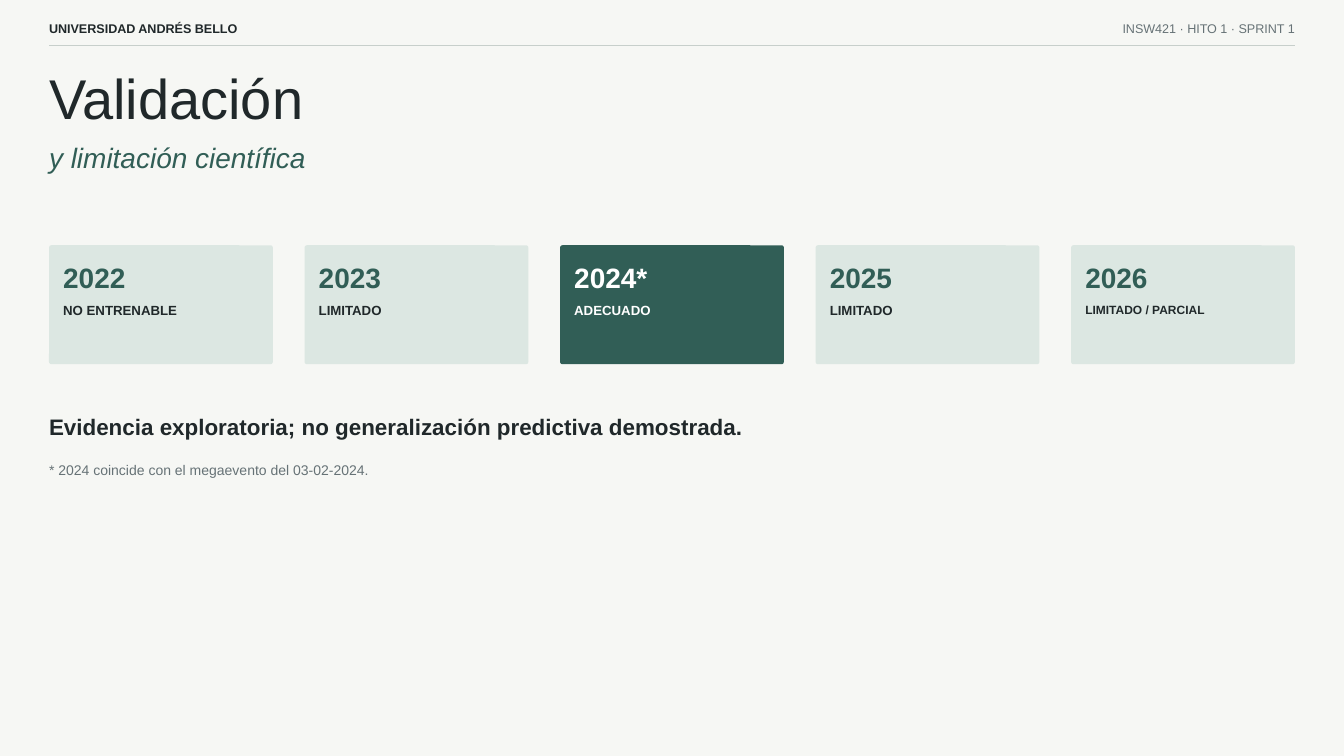
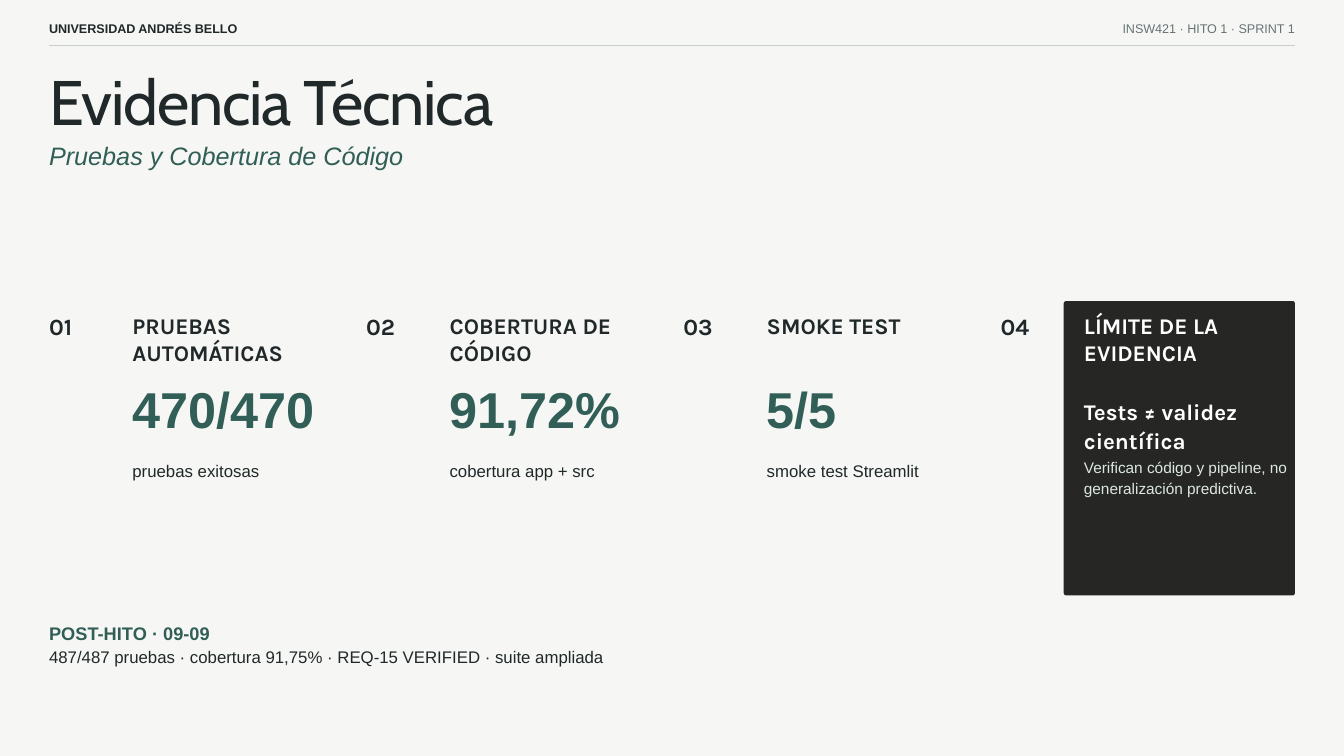
from pptx import Presentation
from pptx.dml.color import RGBColor
from pptx.enum.shapes import MSO_CONNECTOR, MSO_SHAPE
from pptx.enum.text import MSO_ANCHOR, MSO_AUTO_SIZE, PP_ALIGN
from pptx.oxml.ns import qn
from pptx.util import Inches, Pt
from lxml import etree

LEFT, RIGHT = PP_ALIGN.LEFT, PP_ALIGN.RIGHT
TOP = MSO_ANCHOR.TOP
NO_AUTOFIT = MSO_AUTO_SIZE.NONE
ROUNDED = MSO_SHAPE.ROUNDED_RECTANGLE
STRAIGHT = MSO_CONNECTOR.STRAIGHT
TITLE_ONLY = 5

COLORS = {
    "background": "F6F7F4",
    "ink": "20282A",
    "green": "315E56",
    "mint": "DCE7E2",
    "gray": "667276",
    "rule": "C7CFCB",
    "dark": "262624",
    "white": "FFFFFF",
}

# Shared page geometry, in inches
MARGIN = 0.73
CONTENT_WIDTH = 18.54
CORNER_RADIUS = 0.035


def color(name):
    return RGBColor.from_string(COLORS[name])


def write(shape, text, size, line, ink="ink", font="Arial", bold=False,
          italic=False, align=LEFT, tracking=None):
    """Fill a shape with one paragraph that has an exact line height."""
    frame = shape.text_frame
    frame.word_wrap = True
    frame.auto_size = NO_AUTOFIT
    frame.vertical_anchor = TOP
    frame.margin_left = frame.margin_right = 0
    frame.margin_top = frame.margin_bottom = 0
    paragraph = frame.paragraphs[0]
    paragraph.alignment = align
    paragraph.line_spacing = Pt(line)
    run = paragraph.add_run()
    run.text = text
    run.font.name = font
    run.font.size = Pt(size)
    run.font.bold = bold
    run.font.italic = italic
    run.font.color.rgb = color(ink)
    if tracking is not None:
        run._r.get_or_add_rPr().set("spc", str(round(tracking * 100)))


def add_text(slide, left, top, width, height, text, size, line, **style):
    box = slide.shapes.add_textbox(
        Inches(left), Inches(top), Inches(width), Inches(height))
    write(box, text, size, line, **style)


def add_card(slide, left, top, width, height, fill):
    card = slide.shapes.add_shape(
        ROUNDED, Inches(left), Inches(top), Inches(width), Inches(height))
    card.shadow.inherit = False
    card.adjustments[0] = CORNER_RADIUS / min(width, height)
    card.fill.solid()
    card.fill.fore_color.rgb = color(fill)
    card.line.fill.background()


def add_header(slide):
    add_text(slide, MARGIN, 0.27, 5.21, 0.26, "UNIVERSIDAD ANDRÉS BELLO",
             13.5, 18.9, bold=True)
    add_text(slide, MARGIN + CONTENT_WIDTH - 5.21, 0.27, 5.21, 0.26,
             "INSW421 · HITO 1 · SPRINT 1", 13.5, 18.9, ink="gray", align=RIGHT)
    rule = slide.shapes.add_connector(
        STRAIGHT, Inches(MARGIN), Inches(0.68),
        Inches(MARGIN + CONTENT_WIDTH), Inches(0.68))
    rule.line.color.rgb = color("rule")
    rule.line.width = Pt(1.15)
    etree.SubElement(rule._element.spPr, qn("a:effectLst"))


def add_page(presentation):
    slide = presentation.slides.add_slide(
        presentation.slide_layouts[TITLE_ONLY])
    slide.background.fill.solid()
    slide.background.fill.fore_color.rgb = color("background")
    add_header(slide)
    return slide


def add_title(slide, top, height, text, size, line, **style):
    title = slide.shapes.title
    title.left, title.top = Inches(MARGIN), Inches(top)
    title.width, title.height = Inches(CONTENT_WIDTH), Inches(height)
    write(title, text, size, line, **style)


def add_wide_text(slide, top, height, text, size, line, **style):
    add_text(slide, MARGIN, top, CONTENT_WIDTH, height, text, size, line,
             **style)


def add_year(slide, left, width, year, status, size, highlighted):
    """Card with a year and how trainable it is."""
    add_card(slide, left, 3.65, width, 1.77,
             "green" if highlighted else "mint")
    inner_left, inner_width = left + 0.21, width - 0.41
    add_text(slide, inner_left, 3.79, inner_width, 0.58, year, 30, 42,
             ink="white" if highlighted else "green", bold=True)
    add_text(slide, inner_left, 4.46, inner_width, 0.27, status, size,
             size * 1.4, ink="white" if highlighted else "ink", bold=True)


def add_heading(slide, left, number, heading, ink="ink"):
    """Column number and heading; returns the left edge of the column text."""
    text_left = left + 1.24
    add_text(slide, left, 4.65, 0.68, 0.41, number, 25, 30, font="Karla",
             bold=True)
    add_text(slide, text_left, 4.65, 3.15, 0.79, heading, 24, 28.8,
             ink=ink, font="Karla", bold=True)
    return text_left


def add_metric(slide, left, number, heading, value, caption):
    text_left = add_heading(slide, left, number, heading)
    add_text(slide, text_left, 5.48, 3.15, 1.04, value, 54, 75.6,
             ink="green", bold=True)
    add_text(slide, text_left, 6.81, 3.15, 0.36, caption, 18, 25.2)


def add_limit(slide, left):
    """Dark closing column with the limit of the evidence."""
    add_card(slide, 15.83, 4.48, 3.44, 4.38, "dark")
    text_left = add_heading(slide, left, "04", "LÍMITE DE LA EVIDENCIA",
                            ink="white")
    add_text(slide, text_left, 5.89, 3.15, 0.84, "Tests ≠ validez científica",
             24, 31.2, ink="white", font="Karla", bold=True)
    add_text(slide, text_left, 6.77, 3.15, 0.64,
             "Verifican código y pipeline, no generalización predictiva.",
             16.5, 23.1, ink="mint")


def build_validation(presentation):
    slide = add_page(presentation)
    add_title(slide, 0.78, 1.16, "Validación", 60, 84)
    add_wide_text(slide, 2, 0.58, "y limitación científica", 30, 42,
                  ink="green", italic=True)

    # Year cards, spread evenly over the content width
    years = [
        ("2022", "NO ENTRENABLE", 14.2),
        ("2023", "LIMITADO", 14.2),
        ("2024*", "ADECUADO", 14.2),
        ("2025", "LIMITADO", 14.2),
        ("2026", "LIMITADO / PARCIAL", 12.8),
    ]
    card_width = 3.33
    step = (CONTENT_WIDTH - card_width) / (len(years) - 1)
    for index, (year, status, size) in enumerate(years):
        add_year(slide, MARGIN + index * step, card_width, year, status, size,
                 highlighted=status == "ADECUADO")

    # Conclusion and footnote
    add_wide_text(
        slide, 6.08, 0.45,
        "Evidencia exploratoria; no generalización predictiva demostrada.",
        24, 33.6, bold=True)
    add_wide_text(slide, 6.82, 0.3,
                  "* 2024 coincide con el megaevento del 03-02-2024.",
                  15, 21, ink="gray")


def build_evidence(presentation):
    slide = add_page(presentation)
    add_title(slide, 0.93, 1.12, "Evidencia Técnica", 67.4, 80.8,
              font="Cabin", tracking=-1.3)
    add_wide_text(slide, 2.01, 0.52, "Pruebas y Cobertura de Código", 27, 37.8,
                  ink="green", italic=True)

    # Numbered columns
    metrics = [
        ("PRUEBAS AUTOMÁTICAS", "470/470", "pruebas exitosas"),
        ("COBERTURA DE CÓDIGO", "91,72%", "cobertura app + src"),
        ("SMOKE TEST", "5/5", "smoke test Streamlit"),
    ]
    step = 4.72
    for index, metric in enumerate(metrics):
        add_metric(slide, MARGIN + index * step, f"{index + 1:02}", *metric)
    add_limit(slide, MARGIN + len(metrics) * step)

    # Later results
    add_wide_text(slide, 9.21, 0.38, "POST-HITO · 09-09", 19.5, 27.3,
                  ink="green", bold=True)
    add_wide_text(
        slide, 9.61, 0.44,
        "487/487 pruebas · cobertura 91,75% · REQ-15 VERIFIED · suite ampliada",
        18, 23.1)


def main():
    presentation = Presentation()
    presentation.slide_width = Inches(20)
    presentation.slide_height = Inches(11.25)
    build_validation(presentation)
    build_evidence(presentation)
    presentation.save("out.pptx")


if __name__ == "__main__":
    main()
